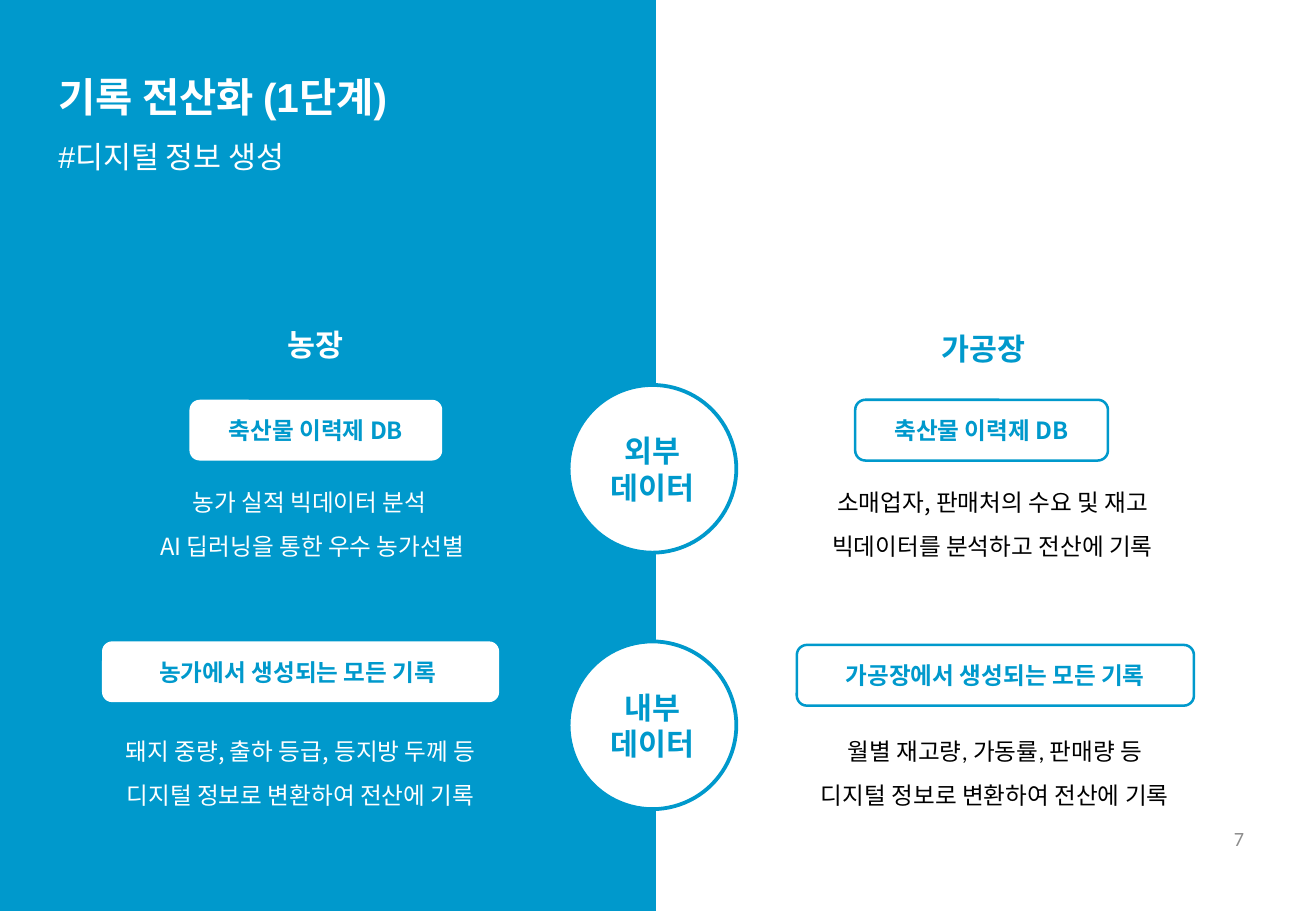
import pptx
import pptx.dml.color
import pptx.enum.shapes
import pptx.enum.text
import pptx.oxml
import pptx.oxml.ns
import pptx.util

Pt = pptx.util.Pt
SHAPE = pptx.enum.shapes.MSO_SHAPE
ALIGN = pptx.enum.text.PP_ALIGN
ANCHOR = pptx.enum.text.MSO_ANCHOR
FIT = pptx.enum.text.MSO_AUTO_SIZE
COLOURS = {"blue": "0099CC", "white": "FFFFFF", "black": "000000", "grey": "8C8C8C"}
KOREAN = "Noto Sans CJK KR"


class Page:
    """Holds the style and the current slide, and draws its elements."""

    heading = {"size": 18, "name": "Calibri", "bold": True}
    label = {"size": 14, "name": KOREAN, "bold": True, "colour": "blue"}
    body = {"size": 14, "name": KOREAN, "bold": False}
    body_spacing = {"line_spacing": 1.07, "space_after": Pt(8)}

    def __init__(self, deck):
        self.page = deck.slides.add_slide(deck.slide_layouts[5])

    def colour(self, name):
        return pptx.dml.color.RGBColor.from_string(COLOURS[name])

    def paragraph(self, para, text, font, spacing):
        for key, value in spacing.items():
            setattr(para, key, value)
        span = para.add_run()
        span.text = text
        values = dict(font, size=Pt(font["size"]))
        span.font.color.rgb = self.colour(values.pop("colour"))
        for key, value in values.items():
            setattr(span.font, key, value)
        east_asian = pptx.oxml.parse_xml(
            f'<a:ea {pptx.oxml.ns.nsdecls("a")} typeface="{KOREAN}"/>')
        span.font._element.find(pptx.oxml.ns.qn("a:latin")).addnext(east_asian)

    def fill_text(self, box, lines, fonts, spacing=None, **frame_format):
        frame = box.text_frame
        frame_values = {"word_wrap": True, "auto_size": FIT.NONE,
                        "vertical_anchor": ANCHOR.TOP, **frame_format}
        for key, value in frame_values.items():
            setattr(frame, key, value)
        for index, line in enumerate(lines):
            para = frame.add_paragraph() if index else frame.paragraphs[0]
            font = fonts[min(index, len(fonts) - 1)]
            self.paragraph(para, line, font, {"alignment": ALIGN.CENTER, **(spacing or {})})

    def shape(self, kind, place, fill, line_width=0):
        box = self.page.shapes.add_shape(kind, *map(Pt, place))
        box.shadow.inherit = False
        box.fill.solid()
        box.fill.fore_color.rgb = self.colour(fill)
        if line_width:
            box.line.color.rgb = self.colour("blue")
            box.line.width = Pt(line_width)
        else:
            box.line.fill.background()
        return box

    def text(self, place, lines, font, spacing=None, **frame_format):
        box = self.page.shapes.add_textbox(*map(Pt, place))
        self.fill_text(box, lines, [font], spacing, **frame_format)

    def title(self, place, lines, fonts):
        box = self.page.shapes.title
        box.left, box.top, box.width, box.height = map(Pt, place)
        box.element.getparent().append(box.element)
        self.fill_text(box, lines, fonts, {"alignment": ALIGN.LEFT, "line_spacing": 1.5},
                       word_wrap=False)

    def pill(self, place, text, line_width):
        box = self.shape(SHAPE.ROUNDED_RECTANGLE, place, "white", line_width)
        self.fill_text(box, [text], [self.label], vertical_anchor=ANCHOR.MIDDLE)

    def circle(self, top, lines):
        box = self.shape(SHAPE.OVAL, (337, top, 99.4, 99.4), "white", 2.25)
        self.fill_text(box, lines, [dict(self.heading, colour="blue")],
                       vertical_anchor=ANCHOR.MIDDLE)

    def column(self, heading, place, heading_colour, body_colour, line_width, blocks):
        self.text(place, [heading], dict(self.heading, colour=heading_colour))
        for pill_place, label, text_place, lines, font_name in blocks:
            self.pill(pill_place, label, line_width)
            self.text(text_place, lines,
                      dict(self.body, name=font_name, colour=body_colour),
                      self.body_spacing)


def main():
    deck = pptx.Presentation()
    deck.slide_width, deck.slide_height = Pt(780), Pt(540)
    page = Page(deck)
    page.shape(SHAPE.RECTANGLE, (-1.4, 0, 390.2, 540), "blue")
    page.title((27.4, 24.5, 232.6, 79.2), ["기록 전산화 (1단계)", "#디지털 정보 생성"],
               [{"size": 24, "name": "Arial", "bold": True, "colour": "white"},
                {"size": 18, "name": "Arial", "bold": False, "colour": "white"}])
    database = "축산물 이력제 DB"
    record = "디지털 정보로 변환하여 전산에 기록"
    page.column("농장", (156.2, 190, 61.2, 29), "white", "white", 0, [
        ((112.3, 237, 149.8, 36), database, (52.6, 284.4, 265, 50.4),
         ["농가 실적 빅데이터 분석 ", "AI 딥러닝을 통한 우수 농가선별"], KOREAN),
        ((60.5, 380.2, 235.4, 36), "농가에서 생성되는 모든 기록 ", (54, 432, 248.4, 50.4),
         ["돼지 중량, 출하 등급, 등지방 두께 등", record], KOREAN),
    ])
    page.column("가공장", (545, 192.2, 75.6, 29), "blue", "black", 1.5, [
        ((506.9, 237, 149.8, 36), database, (437.8, 284.4, 301, 50.4),
         ["소매업자, 판매처의 수요 및 재고", "빅데이터를 분석하고 전산에 기록"], KOREAN),
        ((472.3, 382.3, 235.4, 36), "가공장에서 생성되는 모든 기록", (470.2, 432, 239, 50.4),
         ["월별 재고량, 가동률, 판매량 등", record], "Calibri"),
    ])
    for top, kind in ((228.2, "외부"), (380.2, "내부")):
        page.circle(top, [kind, "데이터"])
    page.text((568.8, 482.4, 175.7, 28.8), ["7"],
              {"size": 12, "name": "Calibri", "bold": False, "colour": "grey"},
              {"alignment": ALIGN.RIGHT}, vertical_anchor=ANCHOR.MIDDLE)
    deck.save("out.pptx")


if __name__ == "__main__":
    main()
